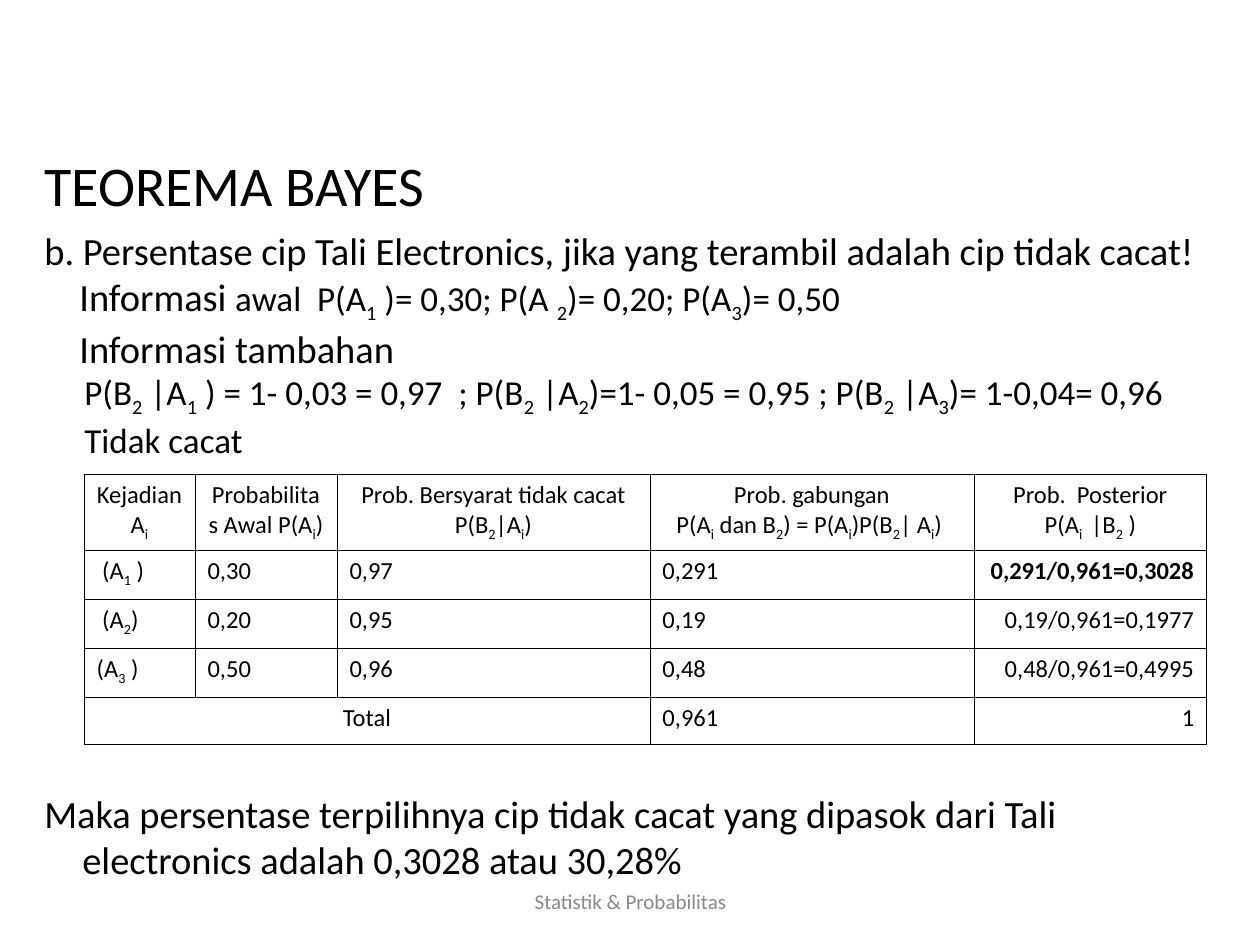
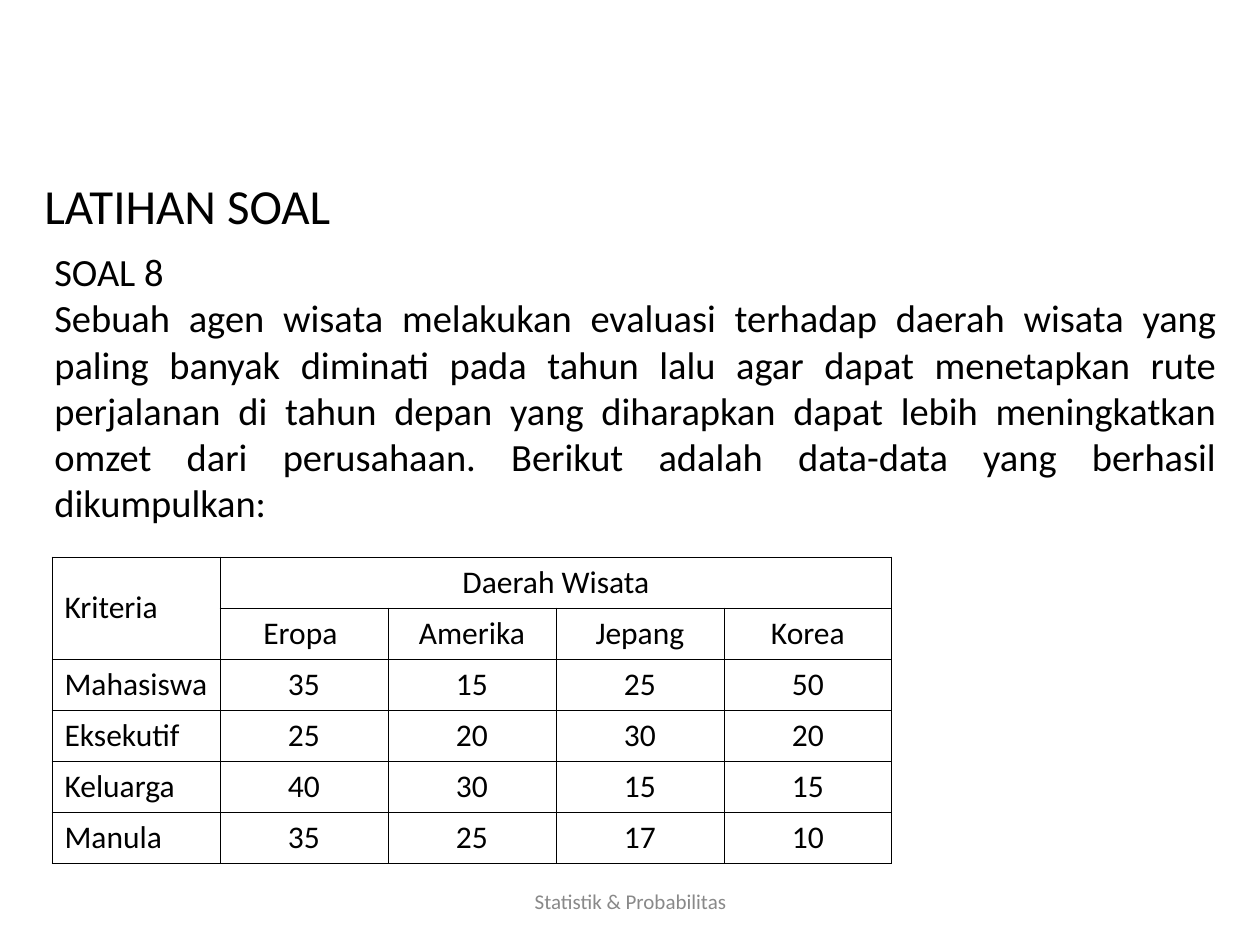
from lxml import etree
from pptx import Presentation
from pptx import util as u
from pptx.dml.color import RGBColor
from pptx.enum import text as t
from pptx.oxml import ns

PX_PER_INCH = 126
BLACK = RGBColor(0x00, 0x00, 0x00)
GREY = RGBColor(0x89, 0x89, 0x89)
ALIGN = {"l": t.PP_ALIGN.LEFT, "c": t.PP_ALIGN.CENTER,
         "r": t.PP_ALIGN.RIGHT, "j": t.PP_ALIGN.JUSTIFY}
TOP, MIDDLE = t.MSO_ANCHOR.TOP, t.MSO_ANCHOR.MIDDLE


def px(length):
    return u.Emu(round(length * u.Inches(1) / PX_PER_INCH))


def write(paragraph, text, size=22, bold=False, color=BLACK, align="l",
          left=0, first=0, before=0):
    """Append text to a paragraph; parts in braces become subscripts."""
    paragraph.alignment = ALIGN[align]
    paragraph.space_before = u.Pt(before)
    properties = paragraph._p.get_or_add_pPr()
    properties.set("marL", str(px(left)))
    properties.set("indent", str(px(first)))
    for index, part in enumerate(text.replace("}", "{").split("{")):
        if not part:
            continue
        run = paragraph.add_run()
        run.text = part
        run.font.name = "Calibri"
        run.font.size = u.Pt(size)
        run.font.bold = bold
        run.font.color.rgb = color
        if index % 2:
            run._r.get_or_add_rPr().set("baseline", "-25000")


def draw_borders(cell):
    properties = cell._tc.get_or_add_tcPr()
    for side in ("lnL", "lnR", "lnT", "lnB"):
        line = etree.SubElement(properties, ns.qn(f"a:{side}"), w=str(u.Pt(0.45)))
        fill = etree.SubElement(line, ns.qn("a:solidFill"))
        etree.SubElement(fill, ns.qn("a:srgbClr"), val=str(BLACK))


class Deck:
    def __init__(self):
        self.presentation = Presentation()
        self.presentation.slide_width = px(1260)
        self.presentation.slide_height = px(945)
        self.slide = None

    def add_slide(self, title, title_height, title_size):
        layout = self.presentation.slide_layouts[6]
        self.slide = self.presentation.slides.add_slide(layout)
        frame = self.add_box(32, 126, 1134, title_height, MIDDLE)
        write(frame.paragraphs[0], title, size=title_size)

    def add_box(self, left, top, width, height, anchor=TOP):
        shape = self.slide.shapes.add_textbox(px(left), px(top), px(width), px(height))
        frame = shape.text_frame
        frame.word_wrap = True
        frame.vertical_anchor = anchor
        return frame

    def add_footer(self):
        frame = self.add_box(431, 876, 399, 50, MIDDLE)
        write(frame.paragraphs[0], "Statistik & Probabilitas", size=12,
              color=GREY, align="c")

    def add_table(self, left, top, widths, heights, rows, size, anchor=TOP,
                  merges=(), bold_cells=()):
        """Each row is a pair: one alignment letter per column, then the texts."""
        table = self.slide.shapes.add_table(
            len(rows), len(widths), px(left), px(top),
            px(sum(widths)), px(sum(heights))).table
        table.first_row = table.horz_banding = False
        for column, width in zip(table.columns, widths):
            column.width = px(width)
        for row, height in zip(table.rows, heights):
            row.height = px(height)
        for r, (aligns, texts) in enumerate(rows):
            for c, (align, text) in enumerate(zip(aligns, texts)):
                cell = table.cell(r, c)
                draw_borders(cell)
                cell.fill.background()
                cell.vertical_anchor = anchor
                frame = cell.text_frame
                for index, line in enumerate(text.split("\n")):
                    paragraph = frame.add_paragraph() if index else frame.paragraphs[0]
                    write(paragraph, line, size=size, align=align,
                          bold=(r, c) in bold_cells)
        for start, end in merges:
            table.cell(*start).merge(table.cell(*end))


def build_bayes_slide(deck):
    deck.add_slide("TEOREMA BAYES", 116, 32)
    frame = deck.add_box(32, 221, 1197, 662)
    hanging = {"left": 38, "first": -38}
    write(frame.paragraphs[0], "b. Persentase cip Tali Electronics, jika yang "
          "terambil adalah cip tidak cacat!", **hanging)
    prior = frame.add_paragraph()
    write(prior, "Informasi ", left=35)
    write(prior, "awal  P(A{1} )= 0,30; P(A {2})= 0,20; P(A{3})= 0,50", size=20, left=35)
    write(frame.add_paragraph(), "Informasi tambahan", left=35)
    write(frame.add_paragraph(), "P(B{2} |A{1} ) = 1- 0,03 = 0,97  ; "
          "P(B{2} |A{2})=1- 0,05 = 0,95 ; P(B{2} |A{3})= 1-0,04= 0,96",
          size=20, left=40)
    write(frame.add_paragraph(), "Tidak cacat", size=20, left=40)
    write(frame.add_paragraph(), "Maka persentase terpilihnya cip tidak cacat yang "
          "dipasok dari Tali electronics adalah 0,3028 atau 30,28%",
          before=188, **hanging)
    deck.add_table(
        84, 474, [111, 142, 313, 324, 233], [76, 49, 49, 49, 48],
        [("ccccc", ["Kejadian\nA{i}", "Probabilitas Awal P(A{i})",
                    "Prob. Bersyarat tidak cacat P(B{2}|A{i})",
                    "Prob. gabungan\nP(A{i} dan B{2}) = P(A{i})P(B{2}| A{i}) ",
                    "Prob.  Posterior\nP(A{i } |B{2} )"]),
         ("llllr", [" (A{1} )", "0,30", "0,97", "0,291", "0,291/0,961=0,3028"]),
         ("llllr", [" (A{2})", "0,20", "0,95", "0,19", "0,19/0,961=0,1977"]),
         ("llllr", ["(A{3} )", "0,50", "0,96", "0,48", "0,48/0,961=0,4995"]),
         ("ccclr", ["Total", "", "", "0,961", "1"])],
        size=14, merges=[((4, 0), (4, 2))], bold_cells=[(1, 4)])
    deck.add_footer()


def build_exercise_slide(deck):
    deck.add_slide("LATIHAN SOAL", 158, 28)
    frame = deck.add_box(42, 242, 1187, 336)
    write(frame.paragraphs[0], "SOAL 8", align="j")
    write(frame.add_paragraph(), "Sebuah agen wisata melakukan evaluasi terhadap "
          "daerah wisata yang paling banyak diminati pada tahun lalu agar dapat "
          "menetapkan rute perjalanan di tahun depan yang diharapkan dapat lebih "
          "meningkatkan omzet dari perusahaan. Berikut adalah data-data yang "
          "berhasil dikumpulkan:", align="j")
    rows = [["Kriteria", "Daerah Wisata", "", "", ""],
            ["", "Eropa ", "Amerika", "Jepang", "Korea"],
            ["Mahasiswa", "35", "15", "25", "50"],
            ["Eksekutif", "25", "20", "30", "20"],
            ["Keluarga", "40", "30", "15", "15"],
            ["Manula", "35", "25", "17", "10"]]
    deck.add_table(52, 557, [168] * 5, [51] * 6, [("lcccc", row) for row in rows],
                   size=18, anchor=MIDDLE,
                   merges=[((0, 0), (1, 0)), ((0, 1), (0, 4))])
    deck.add_footer()


def main():
    deck = Deck()
    build_bayes_slide(deck)
    build_exercise_slide(deck)
    deck.presentation.save("out.pptx")


if __name__ == "__main__":
    main()
